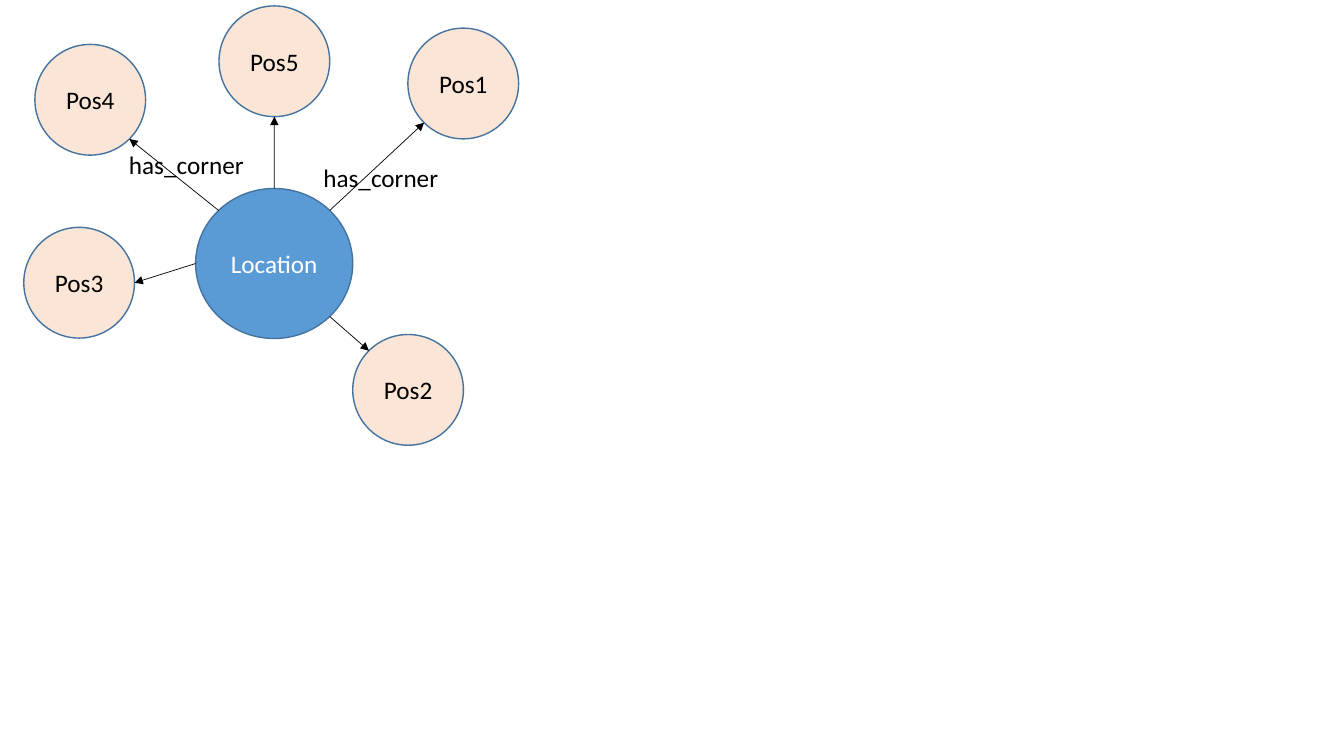
from math import sqrt

from lxml import etree
from pptx import Presentation
from pptx import util as u
from pptx.dml.color import RGBColor
from pptx.enum import shapes, text
from pptx.oxml.ns import qn

COLORS = {"hub": "5B9BD5", "pos": "FBE5D6", "outline": "43739E",
          "black": "000000", "white": "FFFFFF"}
FONT, FONT_SIZE = "Calibri", 18

# Content, lengths in cm: hub is (name, left, top, width, height)
HUB = ("Location", 4.93, 4.75, 3.96, 3.78)
POS_SIZE = 2.79
# name, left, top, direction of the arrow leaving the hub (x, y)
POSITIONS = [
    ("Pos4", 0.88, 1.12, (-1, -1)),
    ("Pos3", 0.6, 5.73, (-1, 0)),
    ("Pos5", 5.52, 0.15, (0, -1)),
    ("Pos1", 10.28, 0.71, (1, -1)),
    ("Pos2", 8.89, 8.43, (1, 1)),
]
LABELS = [("has_corner", 7.9, 3.96), ("has_corner", 3.0, 3.63)]
LABEL_SIZE = (3.43, 1.02)


def cm(*values):
    return [u.Cm(v) for v in values]


def rgb(name):
    return RGBColor.from_string(COLORS[name])


def write(sp, content, color):
    tf = sp.text_frame
    tf.text = content
    p = tf.paragraphs[0]
    font = p.runs[0].font
    font.name, font.size = FONT, u.Pt(FONT_SIZE)
    font.color.rgb = rgb(color)
    return tf, p


def add_circle(s, name, box, fill, color):
    sp = s.shapes.add_shape(shapes.MSO_SHAPE.OVAL, *cm(*box))
    sp.shadow.inherit = False
    sp.fill.solid()
    sp.fill.fore_color.rgb = rgb(fill)
    sp.line.color.rgb = rgb("outline")
    sp.line.width = u.Pt(1)
    tf, p = write(sp, name, color)
    tf.vertical_anchor = text.MSO_ANCHOR.MIDDLE
    p.alignment = text.PP_ALIGN.CENTER


def rim_point(box, direction):
    """Point on an ellipse's rim in one of the eight compass directions."""
    left, top, width, height = box
    dx, dy = direction
    k = 1 / sqrt(dx * dx + dy * dy)
    return left + width / 2 * (1 + k * dx), top + height / 2 * (1 + k * dy)


def add_arrow(s, start, end):
    line = s.shapes.add_connector(shapes.MSO_CONNECTOR.STRAIGHT, *cm(*start, *end))
    line.line.color.rgb = rgb("black")
    line.line.width = u.Pt(0.5)
    ln = line.line._get_or_add_ln()
    etree.SubElement(ln, qn("a:tailEnd"), type="triangle")
    etree.SubElement(ln.getparent(), qn("a:effectLst"))


def main():
    prs = Presentation()
    prs.slide_width, prs.slide_height = cm(33.87, 19.05)
    s = prs.slides.add_slide(prs.slide_layouts[6])

    # Circles
    hub_name, *hub_box = HUB
    add_circle(s, hub_name, hub_box, "hub", "white")
    for name, left, top, _ in POSITIONS:
        add_circle(s, name, (left, top, POS_SIZE, POS_SIZE), "pos", "black")

    # Arrows from the hub to the facing side of each position
    for _, left, top, (dx, dy) in POSITIONS:
        pos_box = (left, top, POS_SIZE, POS_SIZE)
        add_arrow(s, rim_point(hub_box, (dx, dy)), rim_point(pos_box, (-dx, -dy)))

    # Relation labels
    for label, left, top in LABELS:
        sp = s.shapes.add_textbox(*cm(left, top, *LABEL_SIZE))
        tf, _ = write(sp, label, "black")
        tf.word_wrap = False
        tf.auto_size = text.MSO_AUTO_SIZE.SHAPE_TO_FIT_TEXT

    prs.save("out.pptx")


if __name__ == "__main__":
    main()
